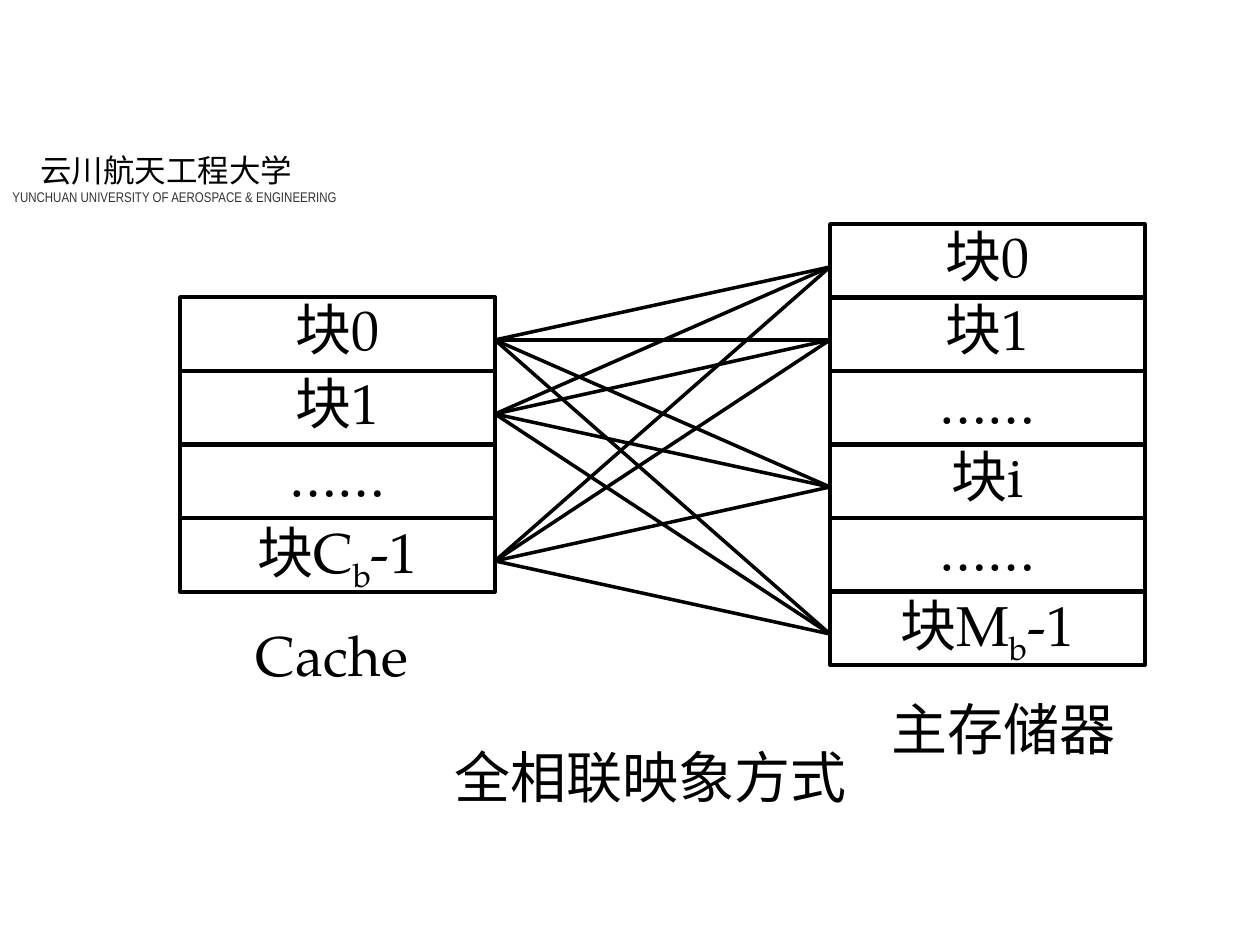
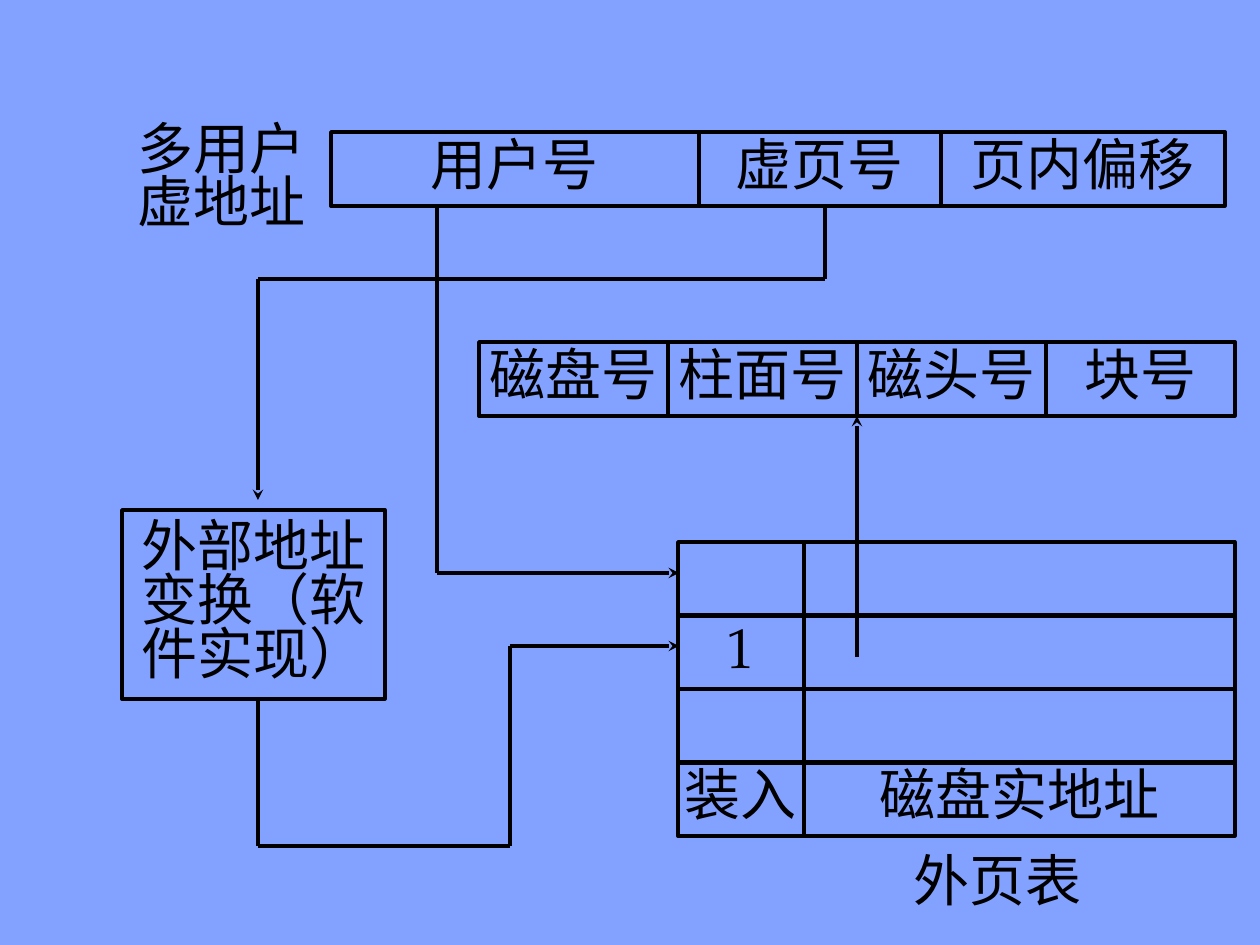
from lxml import etree
from pptx import Presentation
from pptx import util as u
from pptx.dml.color import RGBColor
from pptx.enum import shapes, text
from pptx.oxml.ns import qn

PX = 7257  # EMU per px, 126 px to the inch
INK, GREY, WHITE, BLUE = "000000", "333333", "FFFFFF", "83A1FF"
SERIF = "TeX Gyre Pagella"
ROW_H = 74
rgb = RGBColor.from_string


def box(s, x, y, w, h, label="", framed=True):
    """Add a framed or bare label; the part between underscores is subscript."""
    area = [v * PX for v in (x, y, w, h)]
    if framed:
        sp = s.shapes.add_shape(shapes.MSO_SHAPE.RECTANGLE, *area)
        sp.shadow.inherit = False
        sp.fill.background()
        sp.line.color.rgb = rgb(INK)
        sp.line.width = u.Pt(2)
    else:
        sp = s.shapes.add_textbox(*area)
    if not label:
        return
    tf = sp.text_frame
    tf.word_wrap = False
    tf.vertical_anchor = text.MSO_ANCHOR.MIDDLE
    tf.margin_left = tf.margin_right = 10 * PX
    tf.margin_top = tf.margin_bottom = 5 * PX
    p = tf.paragraphs[0]
    p.alignment = text.PP_ALIGN.CENTER
    p.line_spacing = 0.8
    first, *rest = label.split("_")
    p.text = first
    for part in rest:
        p.add_run().text = part
    for r in p.runs:
        r.font.name = SERIF
        r.font.size = u.Pt(32)
        r.font.color.rgb = rgb(INK)
    if rest:
        p.runs[1].font._element.set("baseline", "-25000")


def link(s, x1, y1, x2, y2, arrow=False):
    ends = [v * PX for v in (x1, y1, x2, y2)]
    c = s.shapes.add_connector(shapes.MSO_CONNECTOR.STRAIGHT, *ends)
    c.line.color.rgb = rgb(INK)
    c.line.width = u.Pt(2)
    if arrow:
        etree.SubElement(c.line._get_or_add_ln(), qn("a:tailEnd"), type="stealth")
    etree.SubElement(c._element.spPr, qn("a:effectLst"))


prs = Presentation()
prs.slide_width, prs.slide_height = u.Inches(10), u.Inches(7.5)
mapping, paging = [prs.slides.add_slide(prs.slide_layouts[6]) for _ in range(2)]
for s, colour in ((mapping, WHITE), (paging, BLUE)):
    s.background.fill.solid()
    s.background.fill.fore_color.rgb = rgb(colour)

# Slide 1: fully associative mapping
s = mapping
tf = s.shapes.add_textbox(0, 145 * PX, 382 * PX, 84 * PX).text_frame
tf.word_wrap = True
tf.text = "云川航天工程大学\nYUNCHUAN UNIVERSITY OF AEROSPACE & ENGINEERING"
styles = (("Arial", 18, INK), ("Arial Narrow", 8, GREY))
for p, (font, size, colour) in zip(tf.paragraphs, styles):
    r = p.runs[0]
    r.font.name, r.font.size = font, u.Pt(size)
    r.font.color.rgb = rgb(colour)
tf.paragraphs[0]._p.get_or_add_pPr().set("marL", str(28 * PX))

row_offsets = [i * 147 // 2 for i in range(6)]
cache_blocks = ("块0", "块1", "……", "块C_b_-1")
memory_blocks = ("块0", "块1", "……", "块i", "……", "块M_b_-1")
for dy, label in zip(row_offsets[1:], cache_blocks):
    box(s, 180, 224 + dy, 315, ROW_H, label)
for dy, label in zip(row_offsets, memory_blocks):
    box(s, 830, 224 + dy, 315, ROW_H, label)
for cache_row in (1, 2, 4):
    for memory_row in (0, 1, 3, 5):
        link(s, 495, 267 + row_offsets[cache_row],
             830, 267 + row_offsets[memory_row])
for x, y, w, label in ((222, 634, 220, "Cache"),
                       (862, 708, 283, "主存储器"),
                       (336, 756, 630, "全相联映象方式")):
    box(s, x, y, w, 53, label, framed=False)

# Slide 2: address translation through the outer page table
s = paging
box(s, 112, 122, 220, 116, "多用户\n虚地址", framed=False)
for x, w, label in ((331, 368, "用户号"), (699, 242, "虚页号"), (941, 284, "页内偏移")):
    box(s, x, 132, w, ROW_H, label)
for i, label in enumerate(("磁盘号", "柱面号", "磁头号", "块号")):
    box(s, 479 + 189 * i, 342, 189, ROW_H, label)
box(s, 122, 510, 263, 189, "外部地址\n变换（软\n件实现）")

page_rows = (("", ""), ("1", ""), ("", ""), ("装入", "磁盘实地址"))
for dy, (loaded, address) in zip(row_offsets, page_rows):
    box(s, 678, 542 + dy, 126, ROW_H, loaded)
    box(s, 804, 542 + dy, 431, ROW_H, address)
box(s, 898, 849, 199, 73, "外页表", framed=False)

routes = (
    ((437, 206), (437, 573), (679, 573)),
    ((825, 206), (825, 279), (258, 279), (258, 500)),
    ((258, 699), (258, 846), (510, 846), (510, 646), (679, 646)),
    ((857, 657), (857, 416)),
)
for route in routes:
    for start, end in zip(route, route[1:]):
        link(s, *start, *end, arrow=end == route[-1])

prs.save("out.pptx")
